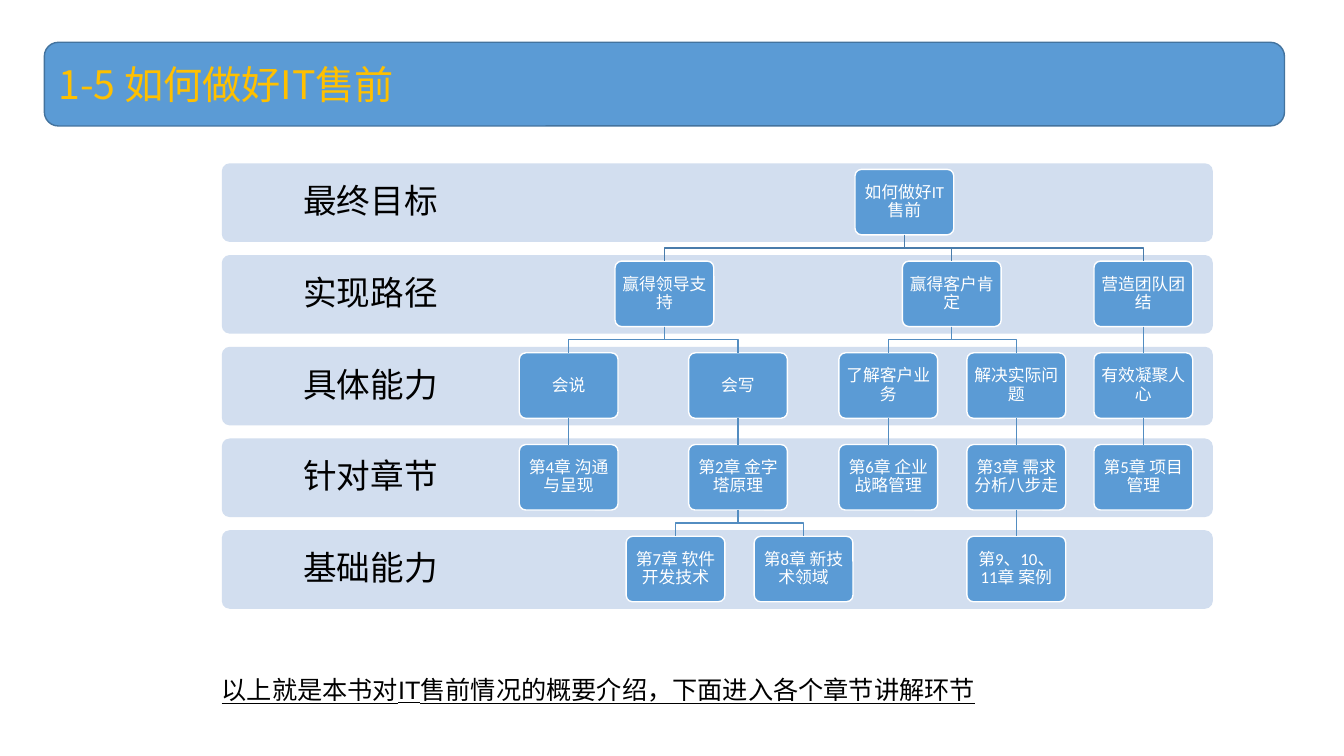
"""Build the slide that maps presales goals to the chapters of the book."""
from lxml import etree
from pptx import Presentation
from pptx.dml.color import RGBColor
from pptx.enum import shapes, text
from pptx.oxml.ns import qn
from pptx.util import Inches, Pt

TITLE = "1-5 如何做好IT售前"
CLOSING = "以上就是本书对IT售前情况的概要介绍，下面进入各个章节讲解环节"
LEVELS = ["最终目标", "实现路径", "具体能力", "针对章节", "基础能力"]
# key: (label, level, centre x, parent key)
NODES = {
    "goal": ("如何做好IT售前", 0, 8.97, None),
    "leaders": ("赢得领导支持", 1, 6.59, "goal"),
    "speak": ("会说", 2, 5.64, "leaders"),
    "ch4": ("第4章 沟通与呈现", 3, 5.64, "speak"),
    "write": ("会写", 2, 7.32, "leaders"),
    "ch2": ("第2章 金字塔原理", 3, 7.32, "write"),
    "ch7": ("第7章 软件开发技术", 4, 6.7, "ch2"),
    "ch8": ("第8章 新技术领域", 4, 7.97, "ch2"),
    "clients": ("赢得客户肯定", 1, 9.44, "goal"),
    "business": ("了解客户业务", 2, 8.81, "clients"),
    "ch6": ("第6章 企业战略管理", 3, 8.81, "business"),
    "problems": ("解决实际问题", 2, 10.08, "clients"),
    "ch3": ("第3章 需求分析八步走", 3, 10.08, "problems"),
    "cases": ("第9、10、11章 案例", 4, 10.08, "ch3"),
    "team": ("营造团队团结", 1, 11.34, "goal"),
    "unite": ("有效凝聚人心", 2, 11.34, "team"),
    "ch5": ("第5章 项目管理", 3, 11.34, "unite"),
}

BLUE = RGBColor(0x5B, 0x9B, 0xD5)
EDGE = RGBColor(0x43, 0x73, 0x9E)
PALE = RGBColor(0xD2, 0xDE, 0xEF)
GOLD = RGBColor(0xFF, 0xC0, 0x00)
WHITE = RGBColor(0xFF, 0xFF, 0xFF)
BLACK = RGBColor(0, 0, 0)
TOP_LINK = RGBColor(0x49, 0x7C, 0xAB)
LINK = RGBColor(0x53, 0x8D, 0xC1)

PITCH = 0.91
BAND_X, BAND_Y, BAND_W, BAND_H = 2.2, 1.62, 9.83, 0.78
LABEL_W = 2.95
NODE_Y, NODE_W, NODE_H = 1.68, 0.98, 0.65


def add_box(s, x, y, w, h, fill, line=None, adj=None):
    sp = s.shapes.add_shape(shapes.MSO_SHAPE.ROUNDED_RECTANGLE,
                            Inches(x), Inches(y), Inches(w), Inches(h))
    sp.shadow.inherit = False
    if adj is not None:
        sp.adjustments[0] = adj
    sp.fill.solid()
    sp.fill.fore_color.rgb = fill
    if line is None:
        sp.line.fill.background()
    else:
        sp.line.color.rgb = line
        sp.line.width = Pt(1)
    return sp


def write(sp, words, size, font, color, inset=None, centred=True):
    tf = sp.text_frame
    tf.word_wrap = True
    tf.vertical_anchor = text.MSO_ANCHOR.MIDDLE
    if inset is not None:
        tf.margin_left = tf.margin_right = Inches(inset)
        tf.margin_top = tf.margin_bottom = Inches(inset)
    p = tf.paragraphs[0]
    p.text = words
    p.alignment = text.PP_ALIGN.CENTER if centred else text.PP_ALIGN.LEFT
    if centred:
        p.line_spacing = 0.9
    p.font.size = Pt(size)
    p.font.name = font
    p.font.color.rgb = color
    return p


def link(s, parent, child, color):
    x1, y1 = parent.left + parent.width // 2, parent.top + parent.height
    x2, y2 = child.left + child.width // 2, child.top
    if x1 == x2:
        sp = s.shapes.add_connector(shapes.MSO_CONNECTOR.STRAIGHT, x1, y1, x2, y2)
        sp.begin_connect(parent, 2)
        sp.end_connect(child, 0)
        etree.SubElement(sp._element.spPr, qn("a:effectLst"))
    else:
        mid = (y1 + y2) // 2
        fb = s.shapes.build_freeform(x1, y1)
        fb.add_line_segments([(x1, mid), (x2, mid), (x2, y2)], close=False)
        sp = fb.convert_to_shape()
        sp.shadow.inherit = False
        sp.fill.background()
    sp.line.color.rgb = color
    sp.line.width = Pt(1)


def main():
    prs = Presentation()
    prs.slide_width, prs.slide_height = Inches(13.33), Inches(7.5)
    s = prs.slides.add_slide(prs.slide_layouts[6])

    banner = add_box(s, 0.44, 0.42, 12.3, 0.83, BLUE, EDGE)
    write(banner, TITLE, 28, "Noto Sans CJK SC", GOLD, centred=False)

    for i, level in enumerate(LEVELS):
        y = BAND_Y + i * PITCH
        add_box(s, BAND_X, y, BAND_W, BAND_H, PALE, adj=0.1)
        label = s.shapes.add_textbox(Inches(BAND_X), Inches(y),
                                     Inches(LABEL_W), Inches(BAND_H))
        write(label, level, 24, "Calibri", BLACK, inset=0.19)

    boxes = {}
    for key, (words, level, x, parent) in NODES.items():
        sp = add_box(s, x - NODE_W / 2, NODE_Y + level * PITCH,
                     NODE_W, NODE_H, BLUE, WHITE, adj=0.1)
        write(sp, words, 12, "Calibri", WHITE, inset=0.05)
        boxes[key] = sp
        if parent:
            link(s, boxes[parent], sp, TOP_LINK if level == 1 else LINK)

    closing = s.shapes.add_textbox(Inches(2.1), Inches(6.64), Inches(10.63), Inches(0.4))
    p = write(closing, CLOSING, 18, "Arial", BLACK, centred=False)
    p.font.underline = True

    prs.save("out.pptx")


if __name__ == "__main__":
    main()
